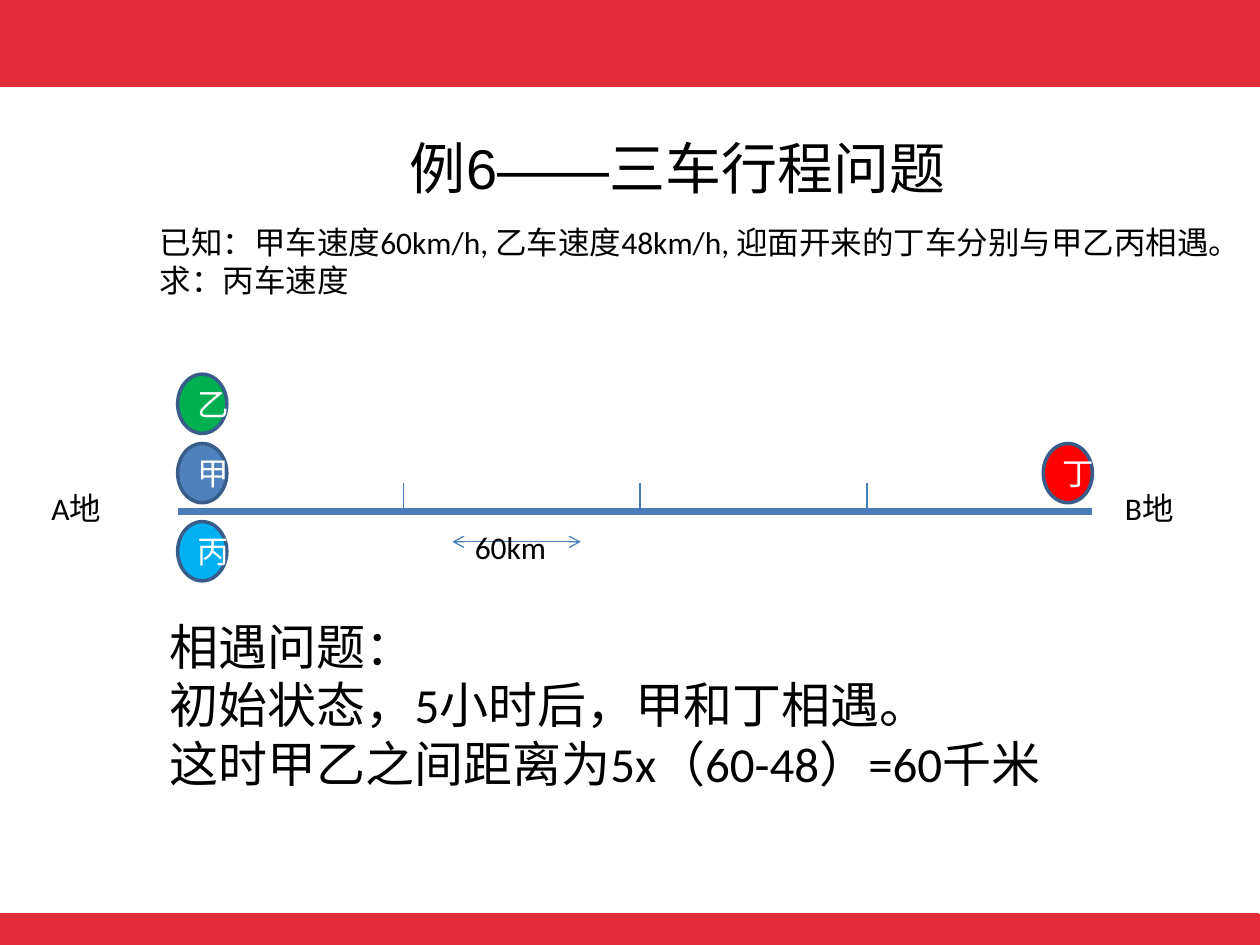
import pptx
import pptx.util
import pptx.dml.color
import pptx.enum.shapes
import pptx.enum.text
import pptx.oxml
import pptx.oxml.ns
from pptx.util import Inches

RGBColor = pptx.dml.color.RGBColor
RED_BAND = RGBColor(0xE4, 0x2C, 0x38)
ROAD_BLUE = RGBColor(0x4A, 0x7E, 0xBB)
OUTLINE_BLUE = RGBColor(0x38, 0x5D, 0x8A)
CAR_BLUE = RGBColor(0x4F, 0x81, 0xBD)
CAR_RED = RGBColor(0xFF, 0x00, 0x00)
CAR_GREEN = RGBColor(0x00, 0xB0, 0x50)
CAR_CYAN = RGBColor(0x00, 0xB0, 0xF0)
BLACK = RGBColor(0x00, 0x00, 0x00)
WHITE = RGBColor(0xFF, 0xFF, 0xFF)

MIDDLE = pptx.enum.text.MSO_ANCHOR.MIDDLE
TOP = pptx.enum.text.MSO_ANCHOR.TOP
CENTER = pptx.enum.text.PP_ALIGN.CENTER
LEFT = pptx.enum.text.PP_ALIGN.LEFT
SHAPES = pptx.enum.shapes.MSO_SHAPE


def write_text(shape, lines, size, color, font_name="Calibri", alignment=LEFT, anchor=TOP):
    frame = shape.text_frame
    frame.word_wrap = True
    frame.vertical_anchor = anchor
    for index, line in enumerate(lines):
        paragraph = frame.add_paragraph() if index else frame.paragraphs[0]
        paragraph.alignment = alignment
        run = paragraph.add_run()
        run.text = line
        run.font.size = pptx.util.Pt(size)
        run.font.name = font_name
        run.font.color.rgb = color


def add_filled_shape(kind, left, top, width, height, fill, outline):
    shape = slide.shapes.add_shape(kind, Inches(left), Inches(top), Inches(width), Inches(height))
    shape.shadow.inherit = False
    shape.fill.solid()
    shape.fill.fore_color.rgb = fill
    shape.line.color.rgb = outline
    shape.line.width = pptx.util.Pt(2)
    return shape


presentation = pptx.Presentation()
presentation.slide_width = Inches(10)
presentation.slide_height = Inches(7.5)
slide = presentation.slides.add_slide(presentation.slide_layouts[6])

for left, top, height in [(0, -0.03, 0.71), (-0.01, 7.26, 0.24)]:
    add_filled_shape(SHAPES.RECTANGLE, left, top, 10, height, RED_BAND, RED_BAND)

title = slide.shapes.add_textbox(Inches(0.76), Inches(0.7), Inches(9.24), Inches(1.25))
write_text(title, ["例6——三车行程问题"], 32, BLACK, "Arial", CENTER, MIDDLE)

road_left, road_right, road_y = 1.41, 8.67, 4.06
lines = [(road_left, road_y, road_right, road_y, 4.5, False)]
lines += [(x, 3.83, x, road_y, 0.75, False) for x in (3.2, 5.08, 6.88)]
lines += [(3.59, 4.3, 4.61, 4.3, 0.75, True)]
for x1, y1, x2, y2, weight, has_arrows in lines:
    connector = slide.shapes.add_connector(
        pptx.enum.shapes.MSO_CONNECTOR.STRAIGHT, Inches(x1), Inches(y1), Inches(x2), Inches(y2))
    connector.line.color.rgb = ROAD_BLUE
    connector.line.width = pptx.util.Pt(weight)
    if has_arrows:
        for end in ("a:headEnd", "a:tailEnd"):
            arrowhead = pptx.oxml.xmlchemy.OxmlElement(end)
            arrowhead.set("type", "arrow")
            connector.line._get_or_add_ln().append(arrowhead)
    connector._element.spPr.append(pptx.oxml.xmlchemy.OxmlElement("a:effectLst"))

car_width, car_height = 0.39, 0.47
cars = [
    ("甲", road_left, 3.52, CAR_BLUE),
    ("丁", road_right - car_width, 3.52, CAR_RED),
    ("乙", road_left, 2.97, CAR_GREEN),
    ("丙", road_left, 4.14, CAR_CYAN),
]
for name, left, top, fill in cars:
    car = add_filled_shape(SHAPES.OVAL, left, top, car_width, car_height, fill, OUTLINE_BLUE)
    write_text(car, [name], 18, WHITE, alignment=CENTER, anchor=MIDDLE)

texts = [
    (0.31, 3.83, 0.86, 0.4, 18, ["A地"]),
    (8.83, 3.83, 1.17, 0.4, 18, ["B地"]),
    (3.67, 4.14, 0.94, 0.4, 18, ["60km"]),
    (1.17, 1.72, 8.83, 0.7, 18, [
        "已知：甲车速度60km/h, 乙车速度48km/h, 迎面开来的丁车分别与甲乙丙相遇。",
        "求：丙车速度",
    ]),
    (1.25, 4.84, 7.58, 1.97, 28, [
        "相遇问题：",
        "初始状态，5小时后，甲和丁相遇。",
        "这时甲乙之间距离为5x（60-48）=60千米",
    ]),
]
for left, top, width, height, size, paragraphs in texts:
    box = slide.shapes.add_textbox(Inches(left), Inches(top), Inches(width), Inches(height))
    write_text(box, paragraphs, size, BLACK)

presentation.save("out.pptx")
